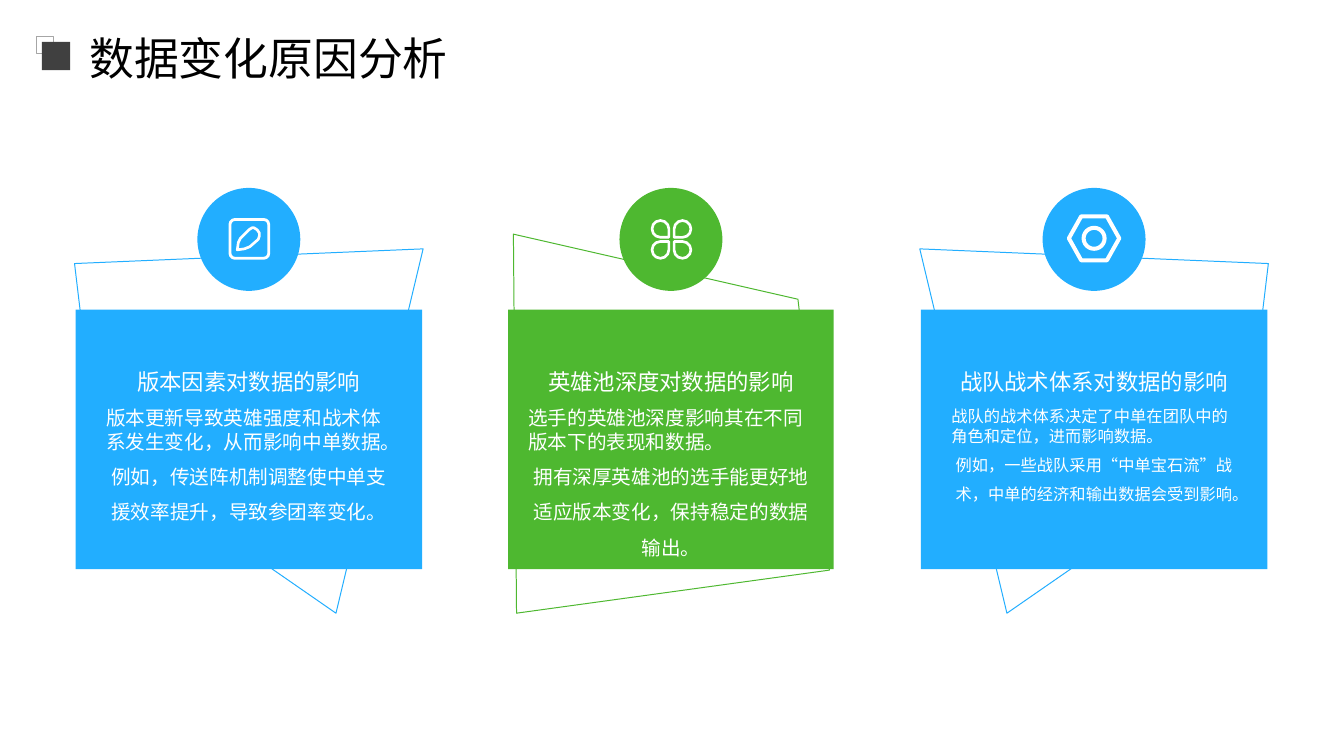
from lxml import etree
from pptx import Presentation
from pptx.dml.color import RGBColor
from pptx.enum.shapes import MSO_SHAPE
from pptx.enum.text import MSO_ANCHOR, MSO_AUTO_SIZE, PP_ALIGN
from pptx.oxml.ns import qn
from pptx.util import Pt

PX = 9525
FONT = "Noto Sans CJK SC"
LEFT, CENTER = PP_ALIGN.LEFT, PP_ALIGN.CENTER
TOP, MIDDLE, BOTTOM = MSO_ANCHOR.TOP, MSO_ANCHOR.MIDDLE, MSO_ANCHOR.BOTTOM
RECT, OVAL, TEAR = MSO_SHAPE.RECTANGLE, MSO_SHAPE.OVAL, MSO_SHAPE.TEAR
ROUNDED, HEXAGON = MSO_SHAPE.ROUNDED_RECTANGLE, MSO_SHAPE.HEXAGON
COLORS = {
    "blue": "22AEFF", "green": "4EB830", "white": "FFFFFF",
    "black": "000000", "gray": "A6A6A6", "dark": "404040",
}


def style(sp, fill=None, line=None, width=1):
    sp.shadow.inherit = False
    if fill:
        sp.fill.solid()
        sp.fill.fore_color.rgb = RGBColor.from_string(COLORS[fill])
    else:
        sp.fill.background()
    if line:
        sp.line.color.rgb = RGBColor.from_string(COLORS[line])
        sp.line.width = Pt(width)
    else:
        sp.line.fill.background()


def write(sp, text, size=14, color="white", align=CENTER, anchor=TOP, spacing=1.0):
    """Add one paragraph to a box, filling its empty first one if there is one."""
    tf = sp.text_frame
    tf.word_wrap = True
    tf.auto_size = MSO_AUTO_SIZE.NONE
    tf.vertical_anchor = anchor
    tf.margin_left = tf.margin_right = tf.margin_top = tf.margin_bottom = 0
    p = tf.add_paragraph() if tf.text else tf.paragraphs[0]
    p.alignment = align
    p.line_spacing = spacing
    p.space_before = Pt(0)
    r = p.add_run()
    r.text = text
    r.font.size = Pt(size)
    r.font.color.rgb = RGBColor.from_string(COLORS[color])
    r.font.name = FONT
    etree.SubElement(r._r.get_or_add_rPr(), qn("a:ea")).set("typeface", FONT)


prs = Presentation()
prs.slide_width, prs.slide_height = 1280 * PX, 720 * PX
s = prs.slides.add_slide(prs.slide_layouts[5])

title = s.shapes.title
title.left, title.top, title.width, title.height = (v * PX for v in (85, 27, 1142, 45))
write(title, "数据变化原因分析", size=32, color="black", align=LEFT, anchor=MIDDLE, spacing=1.2)

left_frame = [(320, 584), (92, 426), (71, 251), (403, 237)]
middle_frame = [(790, 543), (492, 584), (489, 223), (760, 285)]
right_frame = [(1279 - x, y) for x, y in left_frame]

# Centre, panel width, colour, frame, heading, text size, cause, example
columns = [
    (237, 330, "blue", left_frame, "版本因素对数据的影响", 14,
     "版本更新导致英雄强度和战术体系发生变化，从而影响中单数据。",
     "例如，传送阵机制调整使中单支援效率提升，导致参团率变化。"),
    (639, 310, "green", middle_frame, "英雄池深度对数据的影响", 14,
     "选手的英雄池深度影响其在不同版本下的表现和数据。",
     "拥有深厚英雄池的选手能更好地适应版本变化，保持稳定的数据输出。"),
    (1042, 330, "blue", right_frame, "战队战术体系对数据的影响", 11.6,
     "战队的战术体系决定了中单在团队中的角色和定位，进而影响数据。",
     "例如，一些战队采用“中单宝石流”战术，中单的经济和输出数据会受到影响。"),
]
for cx, width, color, frame, heading, size, cause, example in columns:
    fb = s.shapes.build_freeform(*frame[0], scale=PX)
    fb.add_line_segments(frame[1:], close=True)
    style(fb.convert_to_shape(), line=color, width=0.7)

    panel = s.shapes.add_shape(RECT, (cx - width // 2) * PX, 295 * PX, width * PX, 247 * PX)
    style(panel, fill=color)
    badge = s.shapes.add_shape(OVAL, (cx - 49) * PX, 179 * PX, 98 * PX, 98 * PX)
    style(badge, fill=color)

    box = s.shapes.add_textbox((cx - 136) * PX, 307 * PX, 272 * PX, 69 * PX)
    write(box, heading, size=16, anchor=BOTTOM, spacing=1.3)
    box = s.shapes.add_textbox((cx - 136) * PX, 387 * PX, 272 * PX, 143 * PX)
    write(box, cause, size=size, align=LEFT, spacing=Pt(size * 1.2))
    write(box, example, size=size, spacing=Pt(size * 1.8))

# Outline icons: kind, left, top, width, height, line width, rotation, adjustment
icons = [
    (ROUNDED, 219, 209, 37, 37, 2, 0, 0.13),
    (TEAR, 621, 210, 16, 16, 1.9, 90, 1),
    (TEAR, 642, 210, 16, 16, 1.9, 180, 1),
    (TEAR, 621, 230, 16, 16, 1.9, 0, 1),
    (TEAR, 642, 230, 16, 16, 1.9, 270, 1),
    (HEXAGON, 1018, 206, 48, 42, 2.9, 0, 0.28),
    (OVAL, 1032, 217, 20, 20, 2.9, 0, None),
]
for kind, x, y, w, h, weight, rotation, adjustment in icons:
    icon = s.shapes.add_shape(kind, x * PX, y * PX, w * PX, h * PX)
    style(icon, line="white", width=weight)
    icon.rotation = rotation
    if adjustment is not None:
        icon.adjustments[0] = adjustment

pencil = [(226, 238), (227, 231), (229, 227), (237, 219), (240, 217), (242, 217),
          (245, 219), (247, 222), (247, 225), (246, 228), (238, 235), (233, 237)]
fb = s.shapes.build_freeform(*pencil[0], scale=PX)
fb.add_line_segments(pencil[1:], close=True)
style(fb.convert_to_shape(), line="white", width=1.9)

for edge, side, fill, line in [(35, 16, None, "gray"), (40, 27, "dark", None)]:
    square = s.shapes.add_shape(RECT, edge * PX, edge * PX, side * PX, side * PX)
    style(square, fill=fill, line=line)

prs.save("out.pptx")
